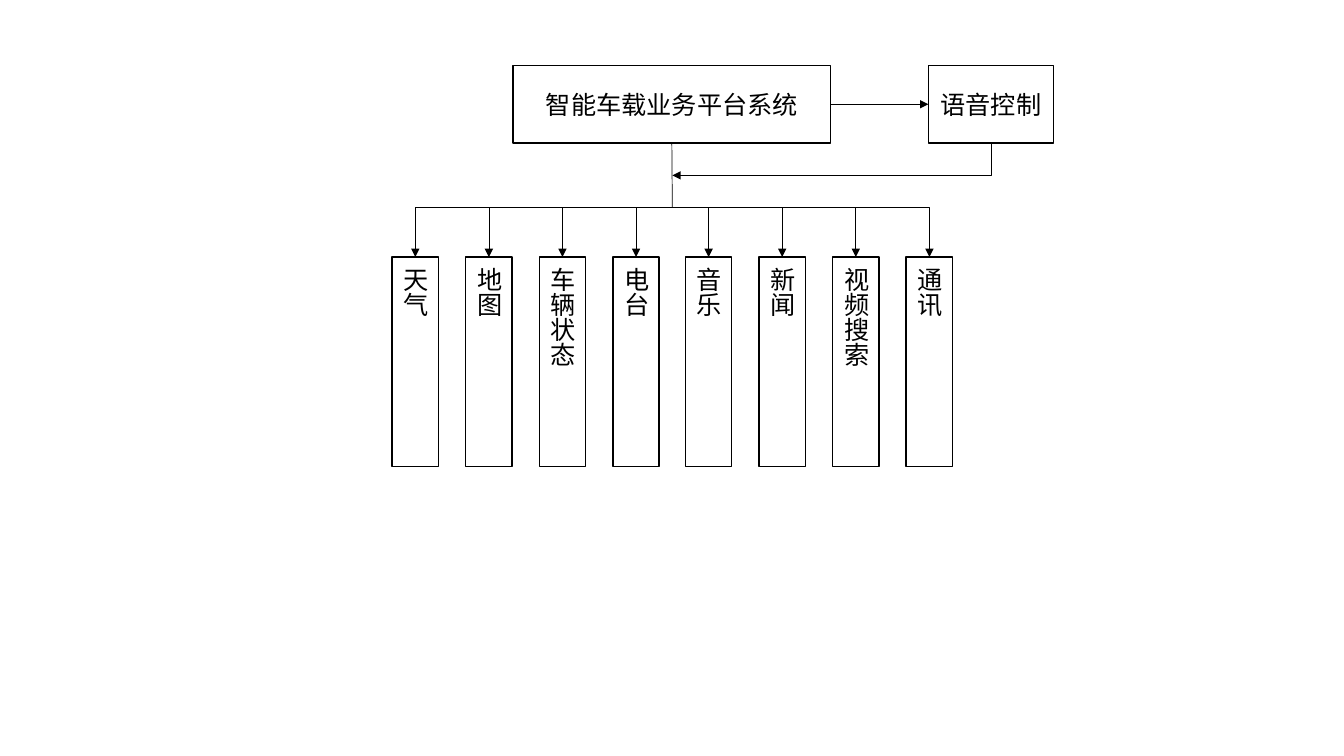
from lxml import etree
from pptx import Presentation
from pptx import util as u
from pptx.dml.color import RGBColor
from pptx.enum import shapes, text
from pptx.oxml.ns import qn

PX = 9144  # EMU per px, 100 px to the inch
FONT = "Noto Sans CJK SC"
BLACK, WHITE = RGBColor.from_string("000000"), RGBColor.from_string("FFFFFF")

presentation = Presentation()
presentation.slide_width, presentation.slide_height = u.Inches(13.333), u.Inches(7.5)
slide = presentation.slides.add_slide(presentation.slide_layouts[6])


def add_box(label, left, top, width, height, vertical=False, size=18):
    shape = slide.shapes.add_shape(
        shapes.MSO_SHAPE.RECTANGLE, left * PX, top * PX, width * PX, height * PX)
    shape.shadow.inherit = False
    shape.fill.solid()
    shape.fill.fore_color.rgb = WHITE
    shape.line.color.rgb = BLACK
    shape.line.width = u.Pt(1)
    frame = shape.text_frame
    frame.word_wrap = True
    frame.vertical_anchor = text.MSO_ANCHOR.MIDDLE
    if vertical:
        shape.element.txBody.find(qn("a:bodyPr")).set("vert", "eaVert")
    paragraph = frame.paragraphs[0]
    paragraph.alignment = text.PP_ALIGN.CENTER
    run = paragraph.add_run()
    run.text = label
    run.font.size = u.Pt(size)
    run.font.name = FONT
    run.font.color.rgb = BLACK
    etree.SubElement(run.font._element, qn("a:ea")).set("typeface", FONT)
    return shape


def add_line(x1, y1, x2, y2, arrow=None, bent=False):
    """arrow is headEnd (at the start), tailEnd (at the end) or None."""
    kind = shapes.MSO_CONNECTOR.ELBOW if bent else shapes.MSO_CONNECTOR.STRAIGHT
    connector = slide.shapes.add_connector(kind, x1 * PX, y1 * PX, x2 * PX, y2 * PX)
    connector.line.color.rgb = BLACK
    connector.line.width = u.Pt(0.5)
    properties = connector.element.spPr
    if bent:  # a single corner: across first, then up or down
        properties.find(qn("a:prstGeom")).set("prst", "bentConnector2")
    if arrow:
        etree.SubElement(properties.find(qn("a:ln")), qn("a:" + arrow)).set("type", "triangle")
    etree.SubElement(properties, qn("a:effectLst"))
    return connector


# Platform and voice control
platform = add_box("智能车载业务平台系统", 509, 65, 315, 77)
voice = add_box("语音控制", 921, 65, 124, 77)
platform_to_voice = add_line(824, 103, 921, 103, "tailEnd")
platform_to_voice.begin_connect(platform, 3)
platform_to_voice.end_connect(voice, 1)

# Trunk, with the voice control path joining it
TRUNK_X, BUS_Y, MODULE_TOP = 667, 206, 255
trunk = add_line(TRUNK_X, 142, TRUNK_X, BUS_Y)
trunk.begin_connect(platform, 2)
add_line(TRUNK_X, 174, 984, 142, "headEnd", bent=True)

# Modules, evenly spaced, each with an arrow from the bus
modules = ["天气", "地图", "车辆状态", "电台", "音乐", "新闻", "视频搜索", "通讯"]
last = len(modules) - 1
for index, name in enumerate(modules):
    left = round(389 + 510 * index / last)
    center = left + 23
    module = add_box(name, left, MODULE_TOP, 46, 208, vertical=True)
    if index in (0, last):
        add_line(TRUNK_X, BUS_Y, center, MODULE_TOP, "tailEnd", bent=True)
    else:
        branch = add_line(center, BUS_Y, center, MODULE_TOP, "tailEnd")
        branch.end_connect(module, 0)

presentation.save("out.pptx")
